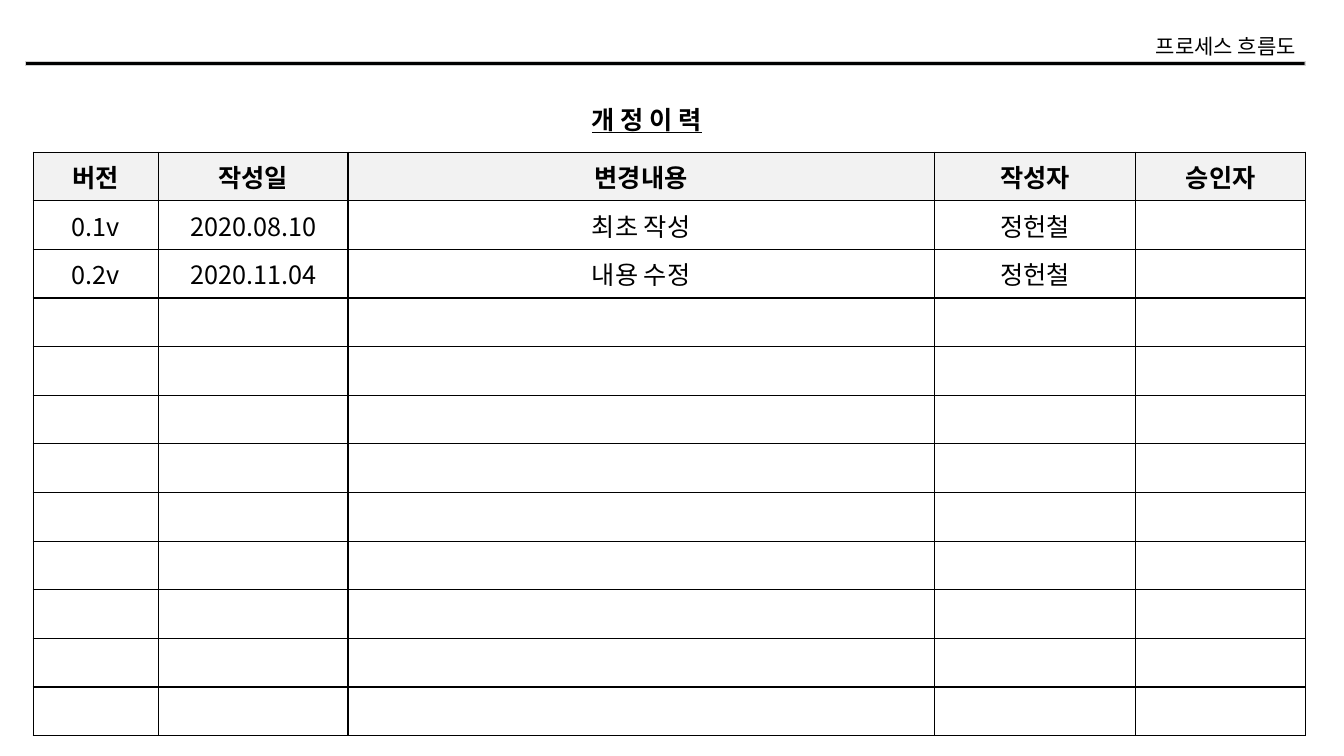
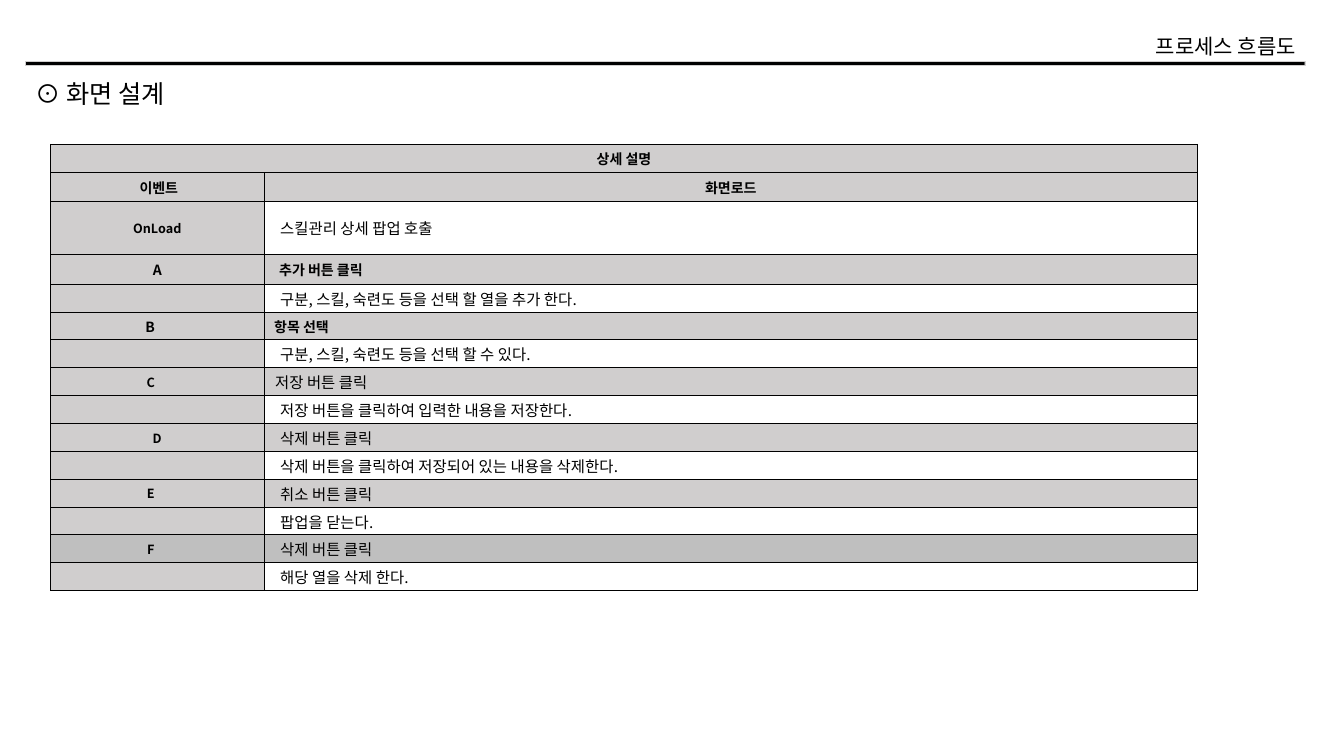
from dataclasses import dataclass, field
from itertools import chain

from lxml.etree import SubElement
from pptx import Presentation
from pptx.dml.color import RGBColor
from pptx.enum.shapes import MSO_SHAPE
from pptx.enum.text import MSO_ANCHOR, MSO_AUTO_SIZE, PP_ALIGN
from pptx.oxml.ns import qn
from pptx.util import Inches, Pt


@dataclass(frozen=True)
class Theme:
    font: str = "Noto Sans CJK KR"
    ink: str = "000000"
    rule_edge: str = "D0CECE"
    head_shade: str = "F2F2F2"
    label_shade: str = "D0CECE"
    last_shade: str = "BFBFBF"
    styles: dict = field(default_factory=lambda: {
        "running": {"size": Pt(15), "bold": False},
        "history_title": {"size": Pt(18), "bold": True, "underline": True},
        "screen_title": {"size": Pt(18), "bold": False},
        "history_head": {"size": Pt(18), "bold": True},
        "history_entry": {"size": Pt(18), "bold": False},
        "label": {"size": Pt(10), "bold": True},
        "small_label": {"size": Pt(9), "bold": True},
        "detail": {"size": Pt(11), "bold": False},
    })


THEME = Theme()


@dataclass(frozen=True)
class Box:
    left: float
    top: float
    width: float
    height: float

    def region(self, left, top, width, height):
        return Box(
            self.left + self.width * left / 100,
            self.top + self.height * top / 100,
            self.width * width / 100,
            self.height * height / 100,
        )

    def lengths(self):
        return [Inches(n) for n in (self.left, self.top, self.width, self.height)]


@dataclass(frozen=True)
class Entry:
    text: str
    style: str
    shade: str = ""
    align: PP_ALIGN = PP_ALIGN.CENTER
    left: float = 0.01
    right: float = 0.01


PAGE = Box(0, 0, 13.33, 7.5)


def assign(target, values):
    for name, value in values.items():
        setattr(target, name, value)


def write(frame, text, style, align):
    paragraph = frame.paragraphs[0]
    paragraph.alignment = align
    values = THEME.styles[style]
    if not text:
        SubElement(paragraph._p, qn("a:endParaRPr"), sz=str(int(values["size"].pt * 100)))
        return
    run = paragraph.add_run()
    run.text = text
    assign(run.font, {**values, "name": THEME.font})
    run.font.color.rgb = RGBColor.from_string(THEME.ink)
    SubElement(run._r.get_or_add_rPr(), qn("a:ea"), typeface=THEME.font)


def fit_frame(frame, wrap):
    assign(frame, {
        "word_wrap": wrap,
        "auto_size": MSO_AUTO_SIZE.NONE,
        "vertical_anchor": MSO_ANCHOR.TOP,
    })


def add_running_head(slide, box):
    rule = slide.shapes.add_shape(MSO_SHAPE.RECTANGLE, *box.region(1.88, 8.13, 95.2, 0.53).lengths())
    rule.shadow.inherit = False
    rule.fill.solid()
    rule.fill.fore_color.rgb = RGBColor.from_string(THEME.ink)
    rule.line.color.rgb = RGBColor.from_string(THEME.rule_edge)
    rule.line.width = Pt(0.3)
    running = slide.shapes.add_textbox(*box.region(84.02, 3.73, 13.13, 4.67).lengths())
    fit_frame(running.text_frame, False)
    write(running.text_frame, "프로세스 흐름도", "running", PP_ALIGN.RIGHT)


def add_page(deck, title, style, title_box):
    slide = deck.slides.add_slide(deck.slide_layouts[5])
    add_running_head(slide, PAGE)
    heading = slide.shapes.title
    assign(heading, dict(zip(("left", "top", "width", "height"), title_box.lengths())))
    fit_frame(heading.text_frame, True)
    write(heading.text_frame, title, style, PP_ALIGN.LEFT)
    return slide


def add_borders(cell, weight):
    properties = cell._tc.get_or_add_tcPr()
    for side in ("lnL", "lnR", "lnT", "lnB"):
        edge = SubElement(properties, qn(f"a:{side}"), w=str(int(Pt(weight))))
        SubElement(SubElement(edge, qn("a:solidFill")), qn("a:srgbClr"), val=THEME.ink)


def add_grid(slide, box, entries, columns, rows, weight, inset_top, inset_bottom):
    grid = slide.shapes.add_table(len(rows), len(columns), *box.lengths()).table
    assign(grid, {"first_row": False, "horz_banding": False})
    for column, share in zip(grid.columns, columns):
        column.width = Inches(box.width * share / sum(columns))
    for row, share in zip(grid.rows, rows):
        row.height = Inches(box.height * share / sum(rows))
    for r, line in enumerate(entries):
        for c, entry in enumerate(line):
            cell = grid.cell(r, c)
            assign(cell, {
                "margin_left": Inches(entry.left),
                "margin_right": Inches(entry.right),
                "margin_top": Inches(inset_top),
                "margin_bottom": Inches(inset_bottom),
                "vertical_anchor": MSO_ANCHOR.MIDDLE,
            })
            add_borders(cell, weight)
            if entry.shade:
                cell.fill.solid()
                cell.fill.fore_color.rgb = RGBColor.from_string(entry.shade)
            else:
                cell.fill.background()
            write(cell.text_frame, entry.text, entry.style, entry.align)
    return grid


def add_history_slide(deck):
    slide = add_page(deck, "개 정 이 력", "history_title", PAGE.region(43.28, 13.07, 12.53, 5.33))
    heads = ("버전", "작성일", "변경내용", "작성자", "승인자")
    revisions = [
        ("0.1v", "2020.08.10", "최초 작성", "정헌철", ""),
        ("0.2v", "2020.11.04", "내용 수정", "정헌철", ""),
    ]
    open_lines = [("",) * len(heads)] * 9
    entries = [[Entry(head, "history_head", THEME.head_shade, left=0.1, right=0.1) for head in heads]]
    entries += [
        [Entry(text, "history_entry", left=0.1, right=0.1) for text in line]
        for line in revisions + open_lines
    ]
    add_grid(slide, PAGE.region(2.48, 20.13, 94.65, 77.2), entries,
             (124, 188, 581, 200, 168), [1] * len(entries), 1, 0.05, 0.05)


def event_entries(letter, action, result, letter_style, action_style, indent, offset, shade):
    return [
        [Entry(letter, letter_style, shade, right=offset),
         Entry(action, action_style, shade, PP_ALIGN.LEFT, indent)],
        [Entry("", "label", THEME.label_shade),
         Entry(result, "detail", align=PP_ALIGN.LEFT, left=0.16)],
    ]


def add_screen_slide(deck):
    slide = add_page(deck, "⊙ 화면 설계", "screen_title", PAGE.region(1.88, 9.73, 14, 5.33))
    shade = THEME.label_shade
    events = [
        ("A", "추가 버튼 클릭", "구분, 스킬, 숙련도 등을 선택 할 열을 추가 한다.", "label", "label", 0.15, 0.01, shade),
        ("B", "항목 선택", "구분, 스킬, 숙련도 등을 선택 할 수 있다.", "label", "label", 0.1, 0.15, shade),
        ("C", "저장 버튼 클릭", "저장 버튼을 클릭하여 입력한 내용을 저장한다.", "small_label", "detail", 0.11, 0.14, shade),
        ("D", "삭제 버튼 클릭", "삭제 버튼을 클릭하여 저장되어 있는 내용을 삭제한다.", "small_label", "detail", 0.16, 0.01, shade),
        ("E", "취소 버튼 클릭", "팝업을 닫는다.", "small_label", "detail", 0.16, 0.14, shade),
        ("F", "삭제 버튼 클릭", "해당 열을 삭제 한다.", "small_label", "detail", 0.16, 0.14, THEME.last_shade),
    ]
    entries = [
        [Entry("상세 설명", "label", shade), Entry("", "label", shade)],
        [Entry("이벤트", "label", shade, left=0.04), Entry("화면로드", "label", shade)],
        [Entry("OnLoad", "small_label", shade),
         Entry("스킬관리 상세 팝업 호출", "detail", align=PP_ALIGN.LEFT, left=0.16)],
        *chain.from_iterable(event_entries(*event) for event in events),
    ]
    rows = [28, 29, 52, 30] + [27.7] * 11
    grid = add_grid(slide, PAGE.region(3.75, 19.07, 85.35, 59.07), entries,
                    (212, 926), rows, 0.5, 0.01, 0)
    grid.cell(0, 0).merge(grid.cell(0, 1))


def main():
    deck = Presentation()
    assign(deck, {"slide_width": Inches(PAGE.width), "slide_height": Inches(PAGE.height)})
    add_history_slide(deck)
    add_screen_slide(deck)
    deck.save("out.pptx")


if __name__ == "__main__":
    main()
